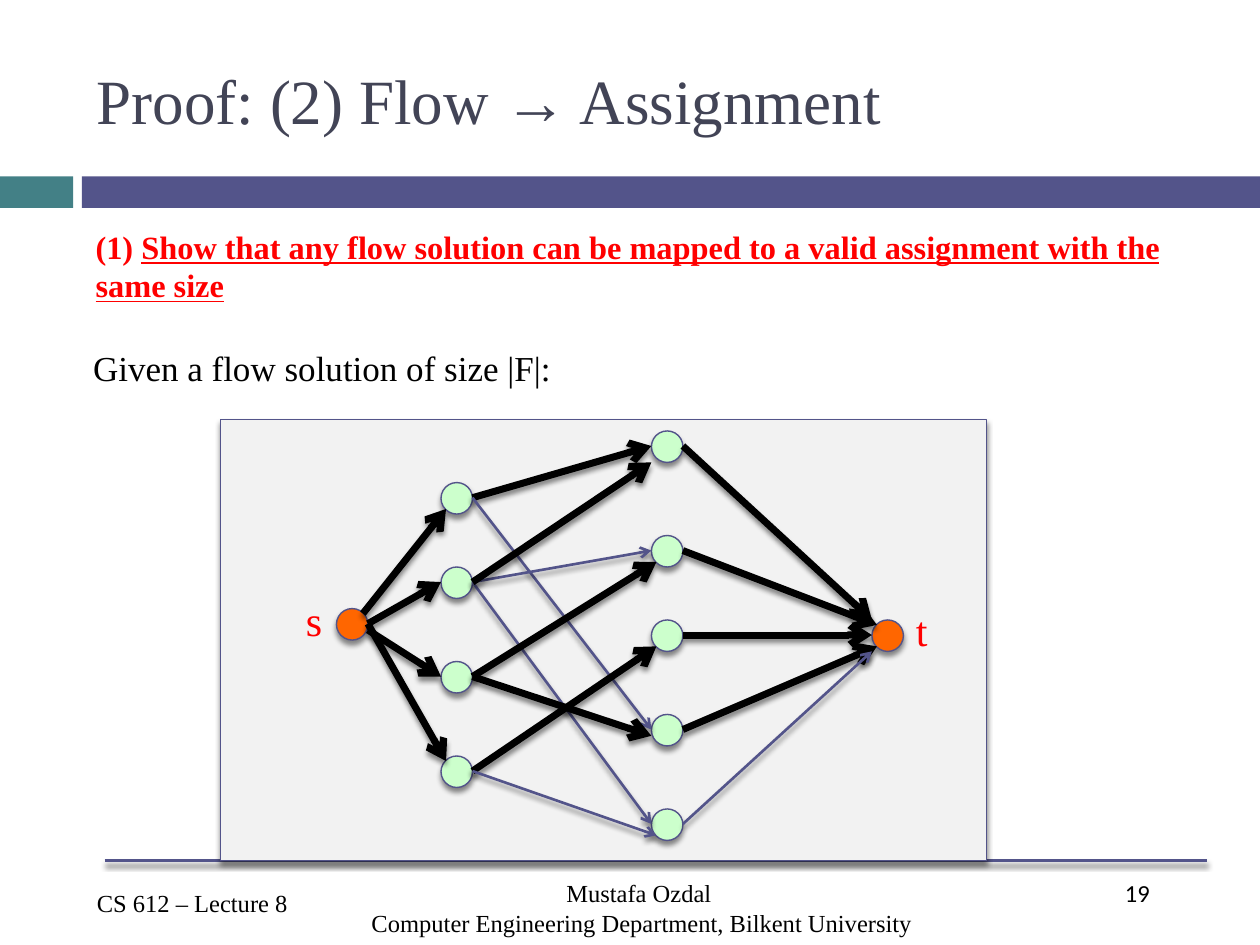
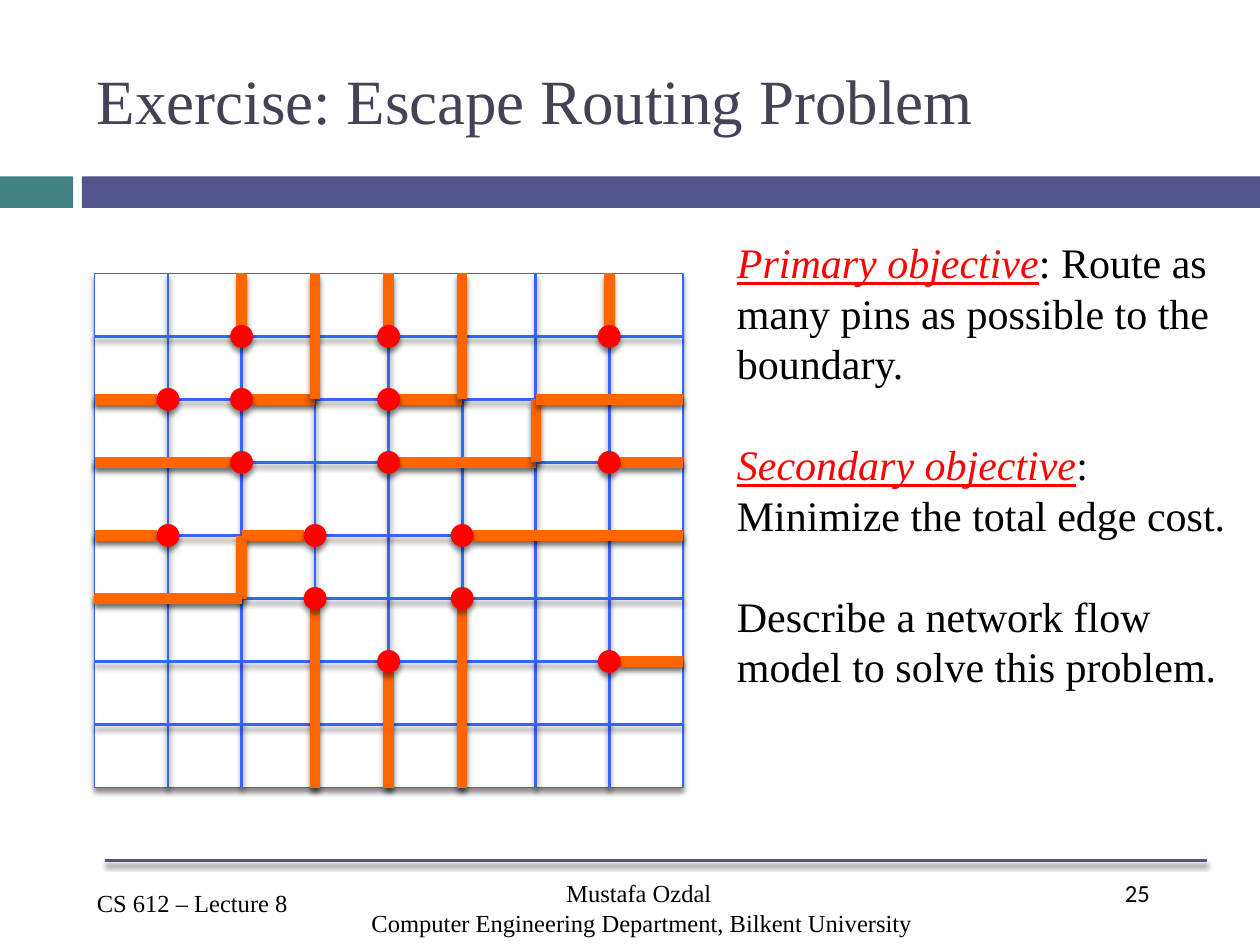
"""Build two lecture slides on network flow: a flow proof and a routing exercise."""
from lxml import etree
from pptx import Presentation
from pptx.dml.color import RGBColor
from pptx.enum.shapes import MSO_CONNECTOR as CONNECTOR, MSO_SHAPE as SHAPE
from pptx.enum.text import MSO_ANCHOR as ANCHOR, PP_ALIGN as ALIGN
from pptx.oxml.ns import qn
from pptx.util import Inches, Pt

BLACK = RGBColor(0x00, 0x00, 0x00)
WHITE = RGBColor(0xFF, 0xFF, 0xFF)
RED = RGBColor(0xFF, 0x00, 0x00)
ORANGE = RGBColor(0xFF, 0x66, 0x00)
MINT = RGBColor(0xCC, 0xFF, 0xCC)
GRID_BLUE = RGBColor(0x33, 0x66, 0xFF)
PANEL_GRAY = RGBColor(0xF2, 0xF2, 0xF2)
INDIGO = RGBColor(0x53, 0x54, 0x8A)
TEAL = RGBColor(0x43, 0x80, 0x86)
TITLE_INK = RGBColor(0x42, 0x44, 0x56)
SERIF = "Times New Roman"


def write(slide, paragraphs, box, size=14, color=BLACK, font=SERIF, bold=False,
          align=ALIGN.LEFT, anchor=ANCHOR.TOP, before=0, gap=0):
    frame = slide.shapes.add_textbox(*map(Inches, box)).text_frame
    frame.word_wrap = True
    frame.vertical_anchor = anchor
    for index, runs in enumerate(paragraphs):
        paragraph = frame.add_paragraph() if index else frame.paragraphs[0]
        paragraph.alignment = align
        paragraph.space_before = Pt(gap if index else before)
        for text, style in [(runs, {})] if isinstance(runs, str) else runs:
            run = paragraph.add_run()
            run.text = text
            run.font.name = font
            run.font.size = Pt(size)
            run.font.bold = bold
            run.font.italic = style.get("italic", False)
            run.font.underline = style.get("underline", False)
            run.font.color.rgb = style.get("color", color)


def draw(slide, preset, box, fill=None, line=None, width=0.79, arrow=False, shadow=True):
    lengths = map(Inches, box)
    if preset is None:
        item = slide.shapes.add_connector(CONNECTOR.STRAIGHT, *lengths)
    else:
        item = slide.shapes.add_shape(preset, *lengths)
        item.fill.solid()
        item.fill.fore_color.rgb = fill
    if line is None:
        item.line.fill.background()
    else:
        item.line.color.rgb = line
        item.line.width = Pt(width)
    properties = item._element.spPr
    if arrow:
        etree.SubElement(properties.find(qn("a:ln")), qn("a:tailEnd"), type="arrow")
    effects = etree.SubElement(properties, qn("a:effectLst"))
    if shadow:
        outer = etree.SubElement(effects, qn("a:outerShdw"), blurRad=str(Pt(3)),
                                 dist=str(Pt(2.4)), dir="5400000", rotWithShape="0")
        tint = etree.SubElement(outer, qn("a:srgbClr"), val=str(BLACK))
        etree.SubElement(tint, qn("a:alpha"), val="45000")


deck = Presentation()
deck.slide_width = Inches(10)
deck.slide_height = Inches(7.5)

lecture_slides = []
for title, number in [("Proof: (2) Flow → Assignment", "19"),
                      ("Exercise: Escape Routing Problem", "25")]:
    slide = deck.slides.add_slide(deck.slide_layouts[6])
    draw(slide, SHAPE.RECTANGLE, (0, 1.4, 0.58, 0.25), TEAL, shadow=False)
    draw(slide, SHAPE.RECTANGLE, (0.65, 1.4, 9.35, 0.25), INDIGO, shadow=False)
    draw(slide, None, (0.83, 6.83, 9.58, 6.83), line=INDIGO, width=1.5)
    write(slide, [number], (8.83, 6.92, 0.75, 0.5), font="Calibri")
    write(slide, ["CS 612 – Lecture 8"], (0.67, 7, 1.83, 0.34))
    write(slide, ["Mustafa Ozdal ", "Computer Engineering Department, Bilkent University"],
          (1.67, 6.92, 6.85, 0.58), align=ALIGN.CENTER)
    write(slide, [title], (0.67, 0.25, 8.92, 1.08), size=36, color=TITLE_INK,
          anchor=ANCHOR.MIDDLE)
    lecture_slides.append(slide)
proof, exercise = lecture_slides

write(proof, [[("(1) ", {}),
               ("Show that any flow solution can be mapped to a valid assignment "
                "with the same size", {"underline": True})]],
      (0.66, 1.75, 8.92, 0.67), size=18.5, color=RED, bold=True, before=7)
write(proof, ["Given a flow solution of size |F|:"], (0.64, 2.7, 3.86, 0.44), size=20)
draw(proof, SHAPE.RECTANGLE, (1.75, 3.33, 6.08, 3.5), PANEL_GRAY, INDIGO)

NODE = 0.25
nodes = {"s": (2.67, 4.83), "t": (6.92, 4.92)}
nodes.update({f"a{i}": (3.5, top) for i, top in enumerate([3.83, 4.5, 5.25, 6])})
nodes.update({f"b{i}": (5.17, top) for i, top in enumerate([3.42, 4.25, 4.92, 5.67, 6.42])})
for name, corner in nodes.items():
    draw(proof, SHAPE.OVAL, (*corner, NODE, NODE), ORANGE if name in "st" else MINT, INDIGO)
write(proof, ["s"], (2.33, 4.67, 0.33, 0.5), size=24, color=RED)
write(proof, ["t"], (7.17, 4.75, 0.33, 0.5), size=24, color=RED)

sites = {"left": (0, 0.12), "right": (0.25, 0.12), "upper right": (0.21, 0.04),
         "upper left": (0.04, 0.04), "lower left": (0.04, 0.21),
         "top corner": (0, 0), "bottom corner": (0, 0.25),
         "below left": (0, 0.17), "below right": (0.25, 0.17)}
edges = [
    ("a0", "b0", "right", "left", True),
    ("a0", "b3", "right", "left", False),
    ("a1", "b1", "right", "left", False),
    ("a1", "b4", "right", "left", False),
    ("a1", "b0", "right", "bottom corner", True),
    ("a2", "b1", "right", "lower left", True),
    ("a2", "b3", "right", "below left", True),
    ("a3", "b2", "right", "lower left", True),
    ("a3", "b4", "right", "lower left", False),
    ("s", "a0", "upper right", "lower left", True),
    ("s", "a1", "right", "left", True),
    ("s", "a2", "below right", "left", True),
    ("s", "a3", "right", "upper left", True),
    ("b0", "t", "right", "top corner", True),
    ("b1", "t", "right", "upper left", True),
    ("b2", "t", "right", "left", True),
    ("b3", "t", "right", "lower left", True),
    ("b4", "t", "right", "bottom corner", False),
]
for source, target, leave, enter, has_flow in edges:
    ends = [nodes[name][axis] + sites[site][axis]
            for name, site in [(source, leave), (target, enter)] for axis in (0, 1)]
    draw(proof, None, ends, line=BLACK if has_flow else INDIGO,
         width=4 if has_flow else 1.5, arrow=True)

LEFT, TOP, WIDTH, HEIGHT, CELLS = 0.75, 2.17, 4.67, 4.08, 8
PIN = 0.17
columns = [LEFT + WIDTH / CELLS * i for i in range(CELLS + 1)]
rows = [TOP + 0.5 * i + (0.08 if i >= 4 else 0) for i in range(CELLS + 1)]
draw(exercise, SHAPE.RECTANGLE, (LEFT, TOP, WIDTH, HEIGHT), WHITE, GRID_BLUE)
for x in columns[1:-1]:
    draw(exercise, None, (x, rows[0], x, rows[-1]), line=GRID_BLUE, width=1.5)
for y in rows[1:-1]:
    draw(exercise, None, (columns[0], y, columns[-1], y), line=GRID_BLUE, width=1.5)

routes = [
    [(2, 1), (2, 0)],
    [(4, 1), (4, 0)],
    [(7, 1), (7, 0)],
    [(1, 2), (0, 2)],
    [(2, 2), (3, 2), (3, 0)],
    [(4, 2), (5, 2), (5, 0)],
    [(2, 3), (0, 3)],
    [(4, 3), (6, 3), (6, 2), (8, 2)],
    [(7, 3), (8, 3)],
    [(1, 4), (0, 4)],
    [(3, 4), (2, 4), (2, 5), (0, 5)],
    [(5, 4), (8, 4)],
    [(3, 5), (3, 8)],
    [(5, 5), (5, 8)],
    [(4, 6), (4, 8)],
    [(7, 6), (8, 6)],
]
for route in routes:
    points = [(columns[column], rows[row]) for column, row in route]
    (pin_x, pin_y), (next_x, next_y) = points[:2]
    reach = PIN / 2
    points[0] = (pin_x + max(-reach, min(reach, next_x - pin_x)),
                 pin_y + max(-reach, min(reach, next_y - pin_y)))
    for start, end in zip(points, points[1:]):
        draw(exercise, None, (*start, *end), line=ORANGE, width=6)
for (column, row), *_ in routes:
    draw(exercise, SHAPE.OVAL,
         (columns[column] - PIN / 2, rows[row] - PIN / 2, PIN, PIN), RED, RED)

objective = {"italic": True, "underline": True, "color": RED}
write(exercise, [
    [("Primary objective", objective),
     (": Route as many pins as possible to the boundary.", {})],
    [("Secondary objective", objective), (": Minimize the total edge cost.", {})],
    "Describe a network flow model to solve this problem.",
], (5.75, 1.83, 4.08, 3.74), size=24, gap=29)

deck.save("out.pptx")
